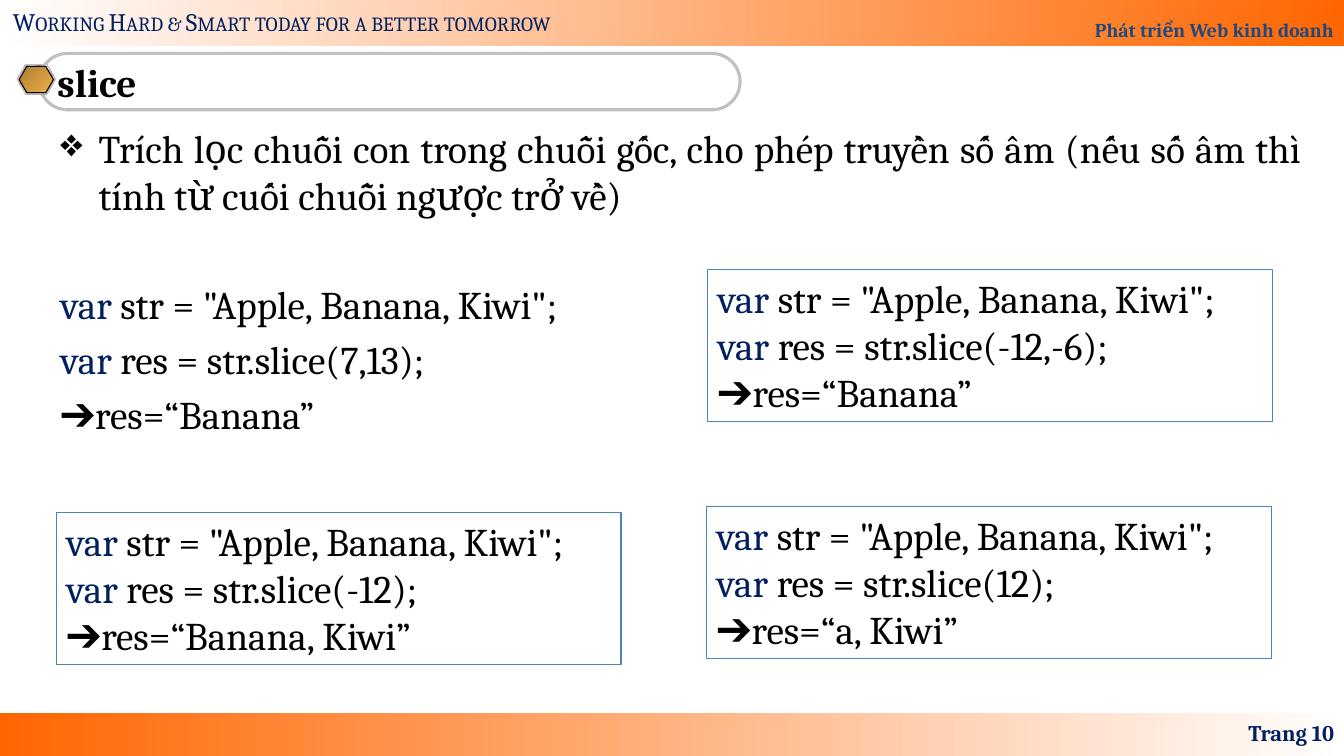
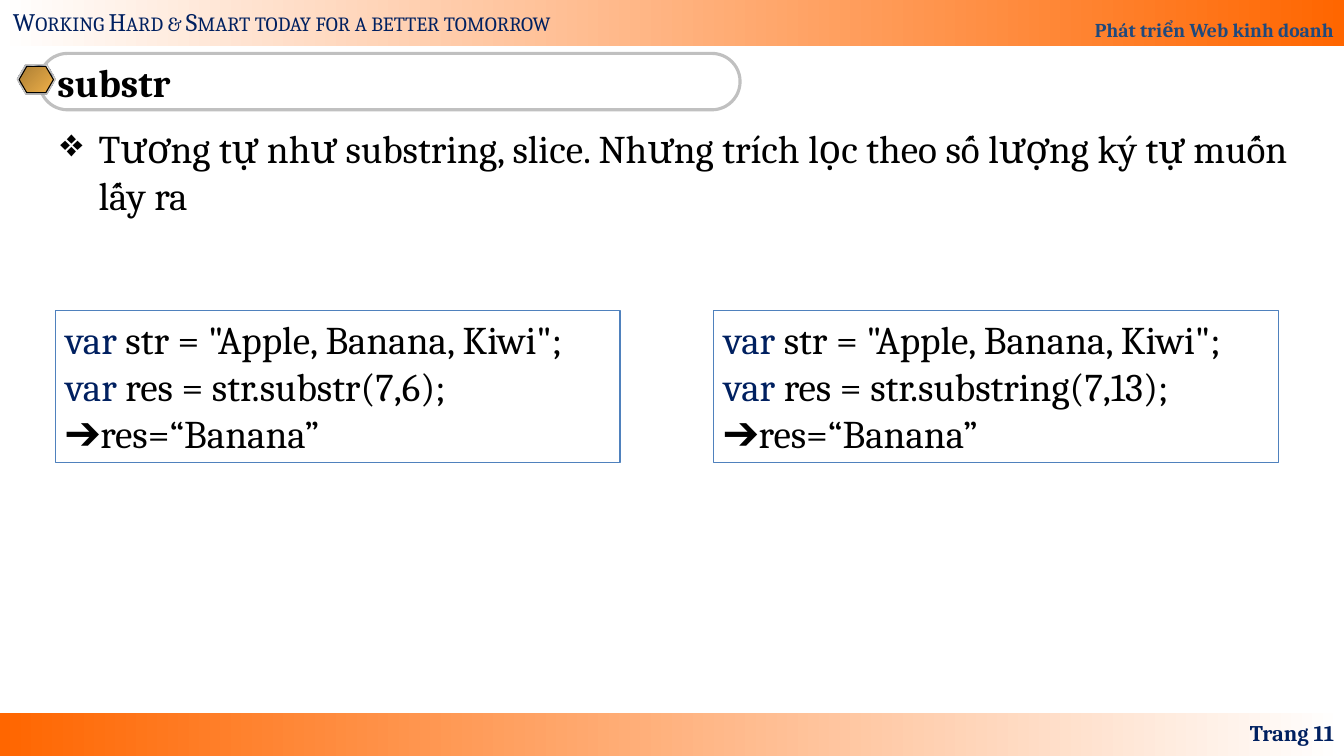
from lxml.etree import SubElement
from pptx import Presentation
from pptx.dml.color import RGBColor
from pptx.enum.shapes import MSO_SHAPE as Shape
from pptx.enum.text import MSO_ANCHOR as Anchor, MSO_AUTO_SIZE as AutoSize, PP_ALIGN as Align
from pptx.oxml.ns import qn
from pptx.util import Inches, Pt

FONT = "Cambria"
BLACK, NAVY, BLUE, BORDER = "000000", "002060", "1F497D", "4F81BD"
WHITE, ORANGE, SILVER, GRAY = "FFFFFF", "FF6600", "C0C0C0", "808080"
LIGHT, STEEL = "E6E6E6", "7D8496"
CHROME = [(0, LIGHT), (7, STEEL), (26, LIGHT), (34, STEEL), (46, LIGHT), (50, WHITE),
          (54, LIGHT), (66, STEEL), (74, LIGHT), (93, STEEL), (100, LIGHT)]
GOLD = [(0, "AB7E34"), (100, "EFB049")]

COURSE = "Phát triển Web kinh doanh"
MOTTO = "Working Hard & Smart today for a better tomorrow"
KEYWORD = "var"
DECLARATION = 'var str = "Apple, Banana, Kiwi";'
CODE_SIZE = (5.6, 1.51)

# Each example: left, top, call, result, boxed
SLIDES = [
    {"title": "slice", "page": 10, "align": Align.JUSTIFY,
     "body": "Trích lọc chuỗi con trong chuỗi gốc, cho phép truyền số âm "
             "(nếu số âm thì tính từ cuối chuỗi ngược trở về)",
     "examples": [
         (0.5, 2.73, "slice(7,13)", "Banana", False),
         (7.02, 2.67, "slice(-12,-6)", "Banana", True),
         (0.56, 5.08, "slice(-12)", "Banana, Kiwi", True),
         (7.01, 5.02, "slice(12)", "a, Kiwi", True)]},
    {"title": "substr", "page": 11, "align": Align.LEFT,
     "body": "Tương tự như substring, slice. Nhưng trích lọc theo số lượng "
             "ký tự muốn lấy ra",
     "examples": [
         (7.08, 3.08, "substring(7,13)", "Banana", True),
         (0.55, 3.08, "substr(7,6)", "Banana", True)]},
]


def rgb(value):
    return RGBColor.from_string(value)


def inches(*values):
    return [Inches(value) for value in values]


def set_format(target, **values):
    for name, value in values.items():
        setattr(target, name, value)


def set_gradient(shape, stops, angle):
    """Fill with (percent, colour) stops, at a clockwise angle."""
    shape.fill.gradient()
    shape.fill.gradient_angle = (360 - angle) % 360
    stop_list = shape._element.spPr.find(qn("a:gradFill")).find(qn("a:gsLst"))
    for old_stop in list(stop_list):
        stop_list.remove(old_stop)
    for percent, colour in stops:
        stop = SubElement(stop_list, qn("a:gs"), pos=str(percent * 1000))
        SubElement(stop, qn("a:srgbClr"), val=colour)


def add_shape(slide, kind, box, fill=None, line=None, weight=0.75, angle=0):
    """Add a preset shape; fill is a colour, a list of stops or None."""
    shape = slide.shapes.add_shape(kind, *inches(*box))
    shape.shadow.inherit = False
    if fill is None:
        shape.fill.background()
    elif isinstance(fill, str):
        shape.fill.solid()
        shape.fill.fore_color.rgb = rgb(fill)
    else:
        set_gradient(shape, fill, angle)
    if line:
        shape.line.color.rgb = rgb(line)
        shape.line.width = Pt(weight)
    else:
        shape.line.fill.background()
    return shape


def add_run(paragraph, text, size=28, colour=BLACK, bold=False):
    run = paragraph.add_run()
    run.text = text
    set_format(run.font, name=FONT, size=Pt(size), bold=bold)
    run.font.color.rgb = rgb(colour)
    return run


def write_line(shape, text, align=Align.LEFT, anchor=Anchor.TOP, wrap=True, **font):
    set_format(shape.text_frame, word_wrap=wrap, vertical_anchor=anchor,
               auto_size=AutoSize.NONE)
    paragraph = shape.text_frame.paragraphs[0]
    paragraph.alignment = align
    add_run(paragraph, text, **font)
    return paragraph


def add_text(slide, box, text, **options):
    return write_line(slide.shapes.add_textbox(*inches(*box)), text, **options)


def add_frame(slide, title, page):
    """Add the bands, the title pill with its hexagon, and the page number."""
    add_shape(slide, Shape.RECTANGLE, (0, 7.07, 13.33, 0.43), [(0, ORANGE), (100, WHITE)])
    band = add_shape(slide, Shape.RECTANGLE, (0, 0, 13.33, 0.46), [(0, WHITE), (100, ORANGE)])
    course = write_line(band, COURSE, align=Align.RIGHT, anchor=Anchor.BOTTOM,
                        size=14, colour=BLUE, bold=True)
    course.line_spacing = 1.8
    motto = add_text(slide, (0.03, 0.01, 5.9, 0.4), MOTTO, wrap=False, size=18, colour=NAVY)
    motto.runs[0]._r.get_or_add_rPr().set("cap", "small")

    pill = add_shape(slide, Shape.ROUNDED_RECTANGLE, (0.39, 0.53, 6.95, 0.56),
                     line=SILVER, weight=2.25)
    pill.adjustments[0] = 0.5
    for box, fill, line in [((0.17, 0.65, 0.38, 0.29), GRAY, None),
                            ((0.17, 0.64, 0.38, 0.29), CHROME, SILVER),
                            ((0.19, 0.66, 0.34, 0.26), GOLD, BLACK)]:
        hexagon = add_shape(slide, Shape.HEXAGON, box, fill, line, angle=45)
        hexagon.adjustments[0] = 0.29

    left, top, width, height = inches(0.47, 0.53, 6.8, 0.56)
    set_format(slide.shapes.title, left=left, top=top, width=width, height=height)
    write_line(slide.shapes.title, title, anchor=Anchor.MIDDLE, bold=True)
    add_text(slide, (10.22, 7.07, 3.11, 0.4), f"Trang {page}", align=Align.RIGHT,
             anchor=Anchor.MIDDLE, size=16, colour=NAVY, bold=True)


def add_body(slide, text, align):
    paragraph = add_text(slide, (0.5, 1.18, 12.5, 1.1), text, align=align)
    properties = paragraph._p.get_or_add_pPr()
    properties.set("marL", str(Inches(0.38)))
    properties.set("indent", str(-Inches(0.38)))
    SubElement(properties, qn("a:buChar"), char="❖")


def add_example(slide, left, top, call, result, boxed):
    shape = add_shape(slide, Shape.RECTANGLE, (left, top, *CODE_SIZE),
                      line=BORDER if boxed else None)
    frame = shape.text_frame
    set_format(frame, word_wrap=True, vertical_anchor=Anchor.TOP)
    lines = [DECLARATION, f"var res = str.{call};", f"➔res=“{result}”"]
    for index, line in enumerate(lines):
        paragraph = frame.add_paragraph() if index else frame.paragraphs[0]
        paragraph.alignment = Align.LEFT
        if index and not boxed:
            paragraph.space_before = Pt(5.6)
        if line.startswith(KEYWORD):
            add_run(paragraph, KEYWORD, colour=NAVY)
        add_run(paragraph, line.removeprefix(KEYWORD))


def main():
    presentation = Presentation()
    set_format(presentation, slide_width=Inches(13.33), slide_height=Inches(7.5))
    title_only = presentation.slide_layouts[5]
    for content in SLIDES:
        slide = presentation.slides.add_slide(title_only)
        add_frame(slide, content["title"], content["page"])
        add_body(slide, content["body"], content["align"])
        for example in content["examples"]:
            add_example(slide, *example)
    presentation.save("out.pptx")


if __name__ == "__main__":
    main()
